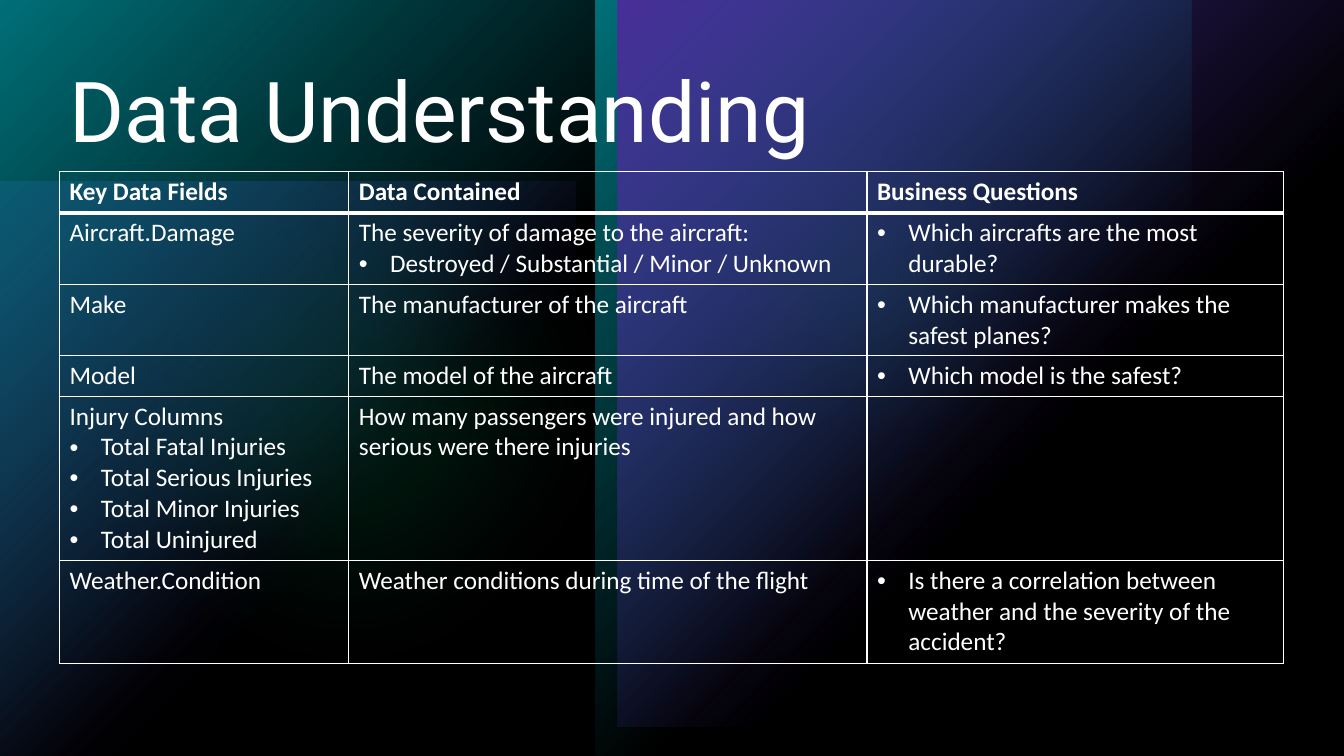
from dataclasses import dataclass

from lxml import etree
from pptx import Presentation
from pptx.dml.color import RGBColor
from pptx.enum.shapes import MSO_SHAPE as Preset
from pptx.enum.text import MSO_ANCHOR as Anchor
from pptx.oxml import parse_xml
from pptx.oxml.ns import nsdecls, qn
from pptx.shapes.autoshape import Shape
from pptx.slide import Slide
from pptx.table import _Cell as Cell
from pptx.text.text import _Paragraph as Paragraph
from pptx.util import Inches, Pt

BLACK = RGBColor(0x00, 0x00, 0x00)
WHITE = RGBColor(0xFF, 0xFF, 0xFF)
VIOLET = RGBColor(0x79, 0x4D, 0xFF)
TEAL = RGBColor(0x00, 0xBA, 0xC8)
GREEN = RGBColor(0x00, 0xD1, 0x7D)

SLIDE_WIDTH, SLIDE_HEIGHT = 13.33, 7.5
MARGIN, CONTENT_WIDTH = 0.59, 12.14
BULLET_INDENT = 0.31
SOFT_EDGE = 1.39
BULLET = "• "


@dataclass(frozen=True)
class Glow:
    """A patch of light: a rectangle fades from its top left corner, an ellipse at its edge."""
    preset: Preset
    left: float
    top: float
    width: float
    height: float
    color: RGBColor
    opacity: int = 100


@dataclass(frozen=True)
class Field:
    name: str
    contents: str
    questions: str
    height: float


GLOWS = [
    Glow(Preset.RECTANGLE, 0, 1.8, 5.71, 5.71, VIOLET, 60),
    Glow(Preset.OVAL, 6.29, 0.43, 4.72, 4.72, GREEN, 60),
    Glow(Preset.OVAL, 0, 0.56, 6.94, 6.94, GREEN, 20),
    Glow(Preset.RECTANGLE, 0, 0, 5.91, 7.5, TEAL),
    Glow(Preset.RECTANGLE, 5.91, 0, 5.91, 7.5, TEAL),
    Glow(Preset.RECTANGLE, 6.13, 0, 7.21, 7.21, VIOLET),
]

COLUMN_WIDTHS = [2.87, 5.14, 4.13]
# Each line of a cell is a paragraph; a leading bullet marks a list item.
FIELDS = [
    Field("Key Data Fields", "Data Contained", "Business Questions", 0.41),
    Field("Aircraft.Damage",
          "The severity of damage to the aircraft:\n• Destroyed / Substantial / Minor / Unknown",
          "• Which aircrafts are the most durable?", 0.71),
    Field("Make", "The manufacturer of the aircraft",
          "• Which manufacturer makes the safest planes?", 0.71),
    Field("Model", "The model of the aircraft", "• Which model is the safest?", 0.4),
    Field("Injury Columns\n• Total Fatal Injuries\n• Total Serious Injuries\n"
          "• Total Minor Injuries\n• Total Uninjured",
          "How many passengers were injured and how serious were there injuries", "", 1.63),
    Field("Weather.Condition", "Weather conditions during time of the flight",
          "• Is there a correlation between weather and the severity of the accident?", 1.02),
]


def add_plain_shape(slide: Slide, glow: Glow) -> Shape:
    shape = slide.shapes.add_shape(glow.preset, Inches(glow.left), Inches(glow.top),
                                   Inches(glow.width), Inches(glow.height))
    shape.shadow.inherit = False
    shape.line.fill.background()
    shape.fill.solid()
    shape.fill.fore_color.rgb = glow.color
    color = shape._element.spPr.find(qn("a:solidFill"))[0]
    etree.SubElement(color, qn("a:alpha"), val=str(glow.opacity * 1000))
    return shape


def add_glow(slide: Slide, glow: Glow) -> None:
    properties = add_plain_shape(slide, glow)._element.spPr
    if glow.preset == Preset.OVAL:
        etree.SubElement(properties.find(qn("a:effectLst")), qn("a:softEdge"),
                         rad=str(Inches(SOFT_EDGE)))
        return
    stops = "".join(
        f'<a:gs pos="{position}"><a:srgbClr val="{glow.color}">'
        f'<a:alpha val="{opacity * 1000}"/></a:srgbClr></a:gs>'
        for position, opacity in [(0, glow.opacity), (60000, 0)])
    gradient = parse_xml(
        f'<a:gradFill {nsdecls("a")} rotWithShape="1"><a:gsLst>{stops}</a:gsLst>'
        '<a:path path="circle"><a:fillToRect r="100000" b="100000"/></a:path></a:gradFill>')
    properties.replace(properties.find(qn("a:solidFill")), gradient)


def add_text(paragraph: Paragraph, text: str, font: str, size: int, bold: bool = False) -> None:
    run = paragraph.add_run()
    run.text = text
    run.font.name = font
    run.font.size = Pt(size)
    run.font.bold = bold
    run.font.color.rgb = WHITE


def add_bullet(paragraph: Paragraph) -> None:
    properties = paragraph._p.get_or_add_pPr()
    properties.set("marL", str(Inches(BULLET_INDENT)))
    properties.set("indent", str(-Inches(BULLET_INDENT)))
    etree.SubElement(properties, qn("a:buFont"), typeface="Arial")
    etree.SubElement(properties, qn("a:buChar"), char=BULLET.strip())


def set_borders(cell: Cell, top: int, bottom: int) -> None:
    """Outline the cell in white; widths are in points."""
    properties = cell._tc.get_or_add_tcPr()
    for index, (side, width) in enumerate([("L", 1), ("R", 1), ("T", top), ("B", bottom)]):
        properties.insert(index, parse_xml(
            f'<a:ln{side} {nsdecls("a")} w="{Pt(width)}"><a:solidFill>'
            f'<a:srgbClr val="{WHITE}"/></a:solidFill></a:ln{side}>'))


def fill_cell(cell: Cell, text: str, row: int) -> None:
    cell.fill.background()
    set_borders(cell, top=3 if row == 1 else 1, bottom=3 if row == 0 else 1)
    frame = cell.text_frame
    for index, line in enumerate(text.split("\n") if text else []):
        paragraph = frame.add_paragraph() if index else frame.paragraphs[0]
        if line.startswith(BULLET):
            add_bullet(paragraph)
        add_text(paragraph, line.removeprefix(BULLET), "Calibri", 18, bold=row == 0)


def add_title(slide: Slide, text: str) -> None:
    title = slide.shapes.add_textbox(Inches(MARGIN), Inches(0.59),
                                     Inches(CONTENT_WIDTH), Inches(1.11))
    frame = title.text_frame
    frame.word_wrap = True
    frame.vertical_anchor = Anchor.MIDDLE
    frame.paragraphs[0].line_spacing = 0.9
    add_text(frame.paragraphs[0], text, "Roboto", 60)


def add_field_table(slide: Slide) -> None:
    height = sum(field.height for field in FIELDS)
    table = slide.shapes.add_table(len(FIELDS), len(COLUMN_WIDTHS), Inches(MARGIN), Inches(1.7),
                                   Inches(CONTENT_WIDTH), Inches(height)).table
    table.horz_banding = False
    for column, width in zip(table.columns, COLUMN_WIDTHS):
        column.width = Inches(width)
    for row, field in enumerate(FIELDS):
        table.rows[row].height = Inches(field.height)
        for column, text in enumerate([field.name, field.contents, field.questions]):
            fill_cell(table.cell(row, column), text, row)


def main() -> None:
    deck = Presentation()
    deck.slide_width = Inches(SLIDE_WIDTH)
    deck.slide_height = Inches(SLIDE_HEIGHT)
    slide = deck.slides.add_slide(deck.slide_layouts[6])
    slide.background.fill.solid()
    slide.background.fill.fore_color.rgb = BLACK
    for glow in GLOWS:
        add_glow(slide, glow)
    add_plain_shape(slide, Glow(Preset.RECTANGLE, 0, 0, SLIDE_WIDTH, SLIDE_HEIGHT, BLACK, 40))
    add_title(slide, "Data Understanding")
    add_field_table(slide)
    deck.save("out.pptx")


if __name__ == "__main__":
    main()
